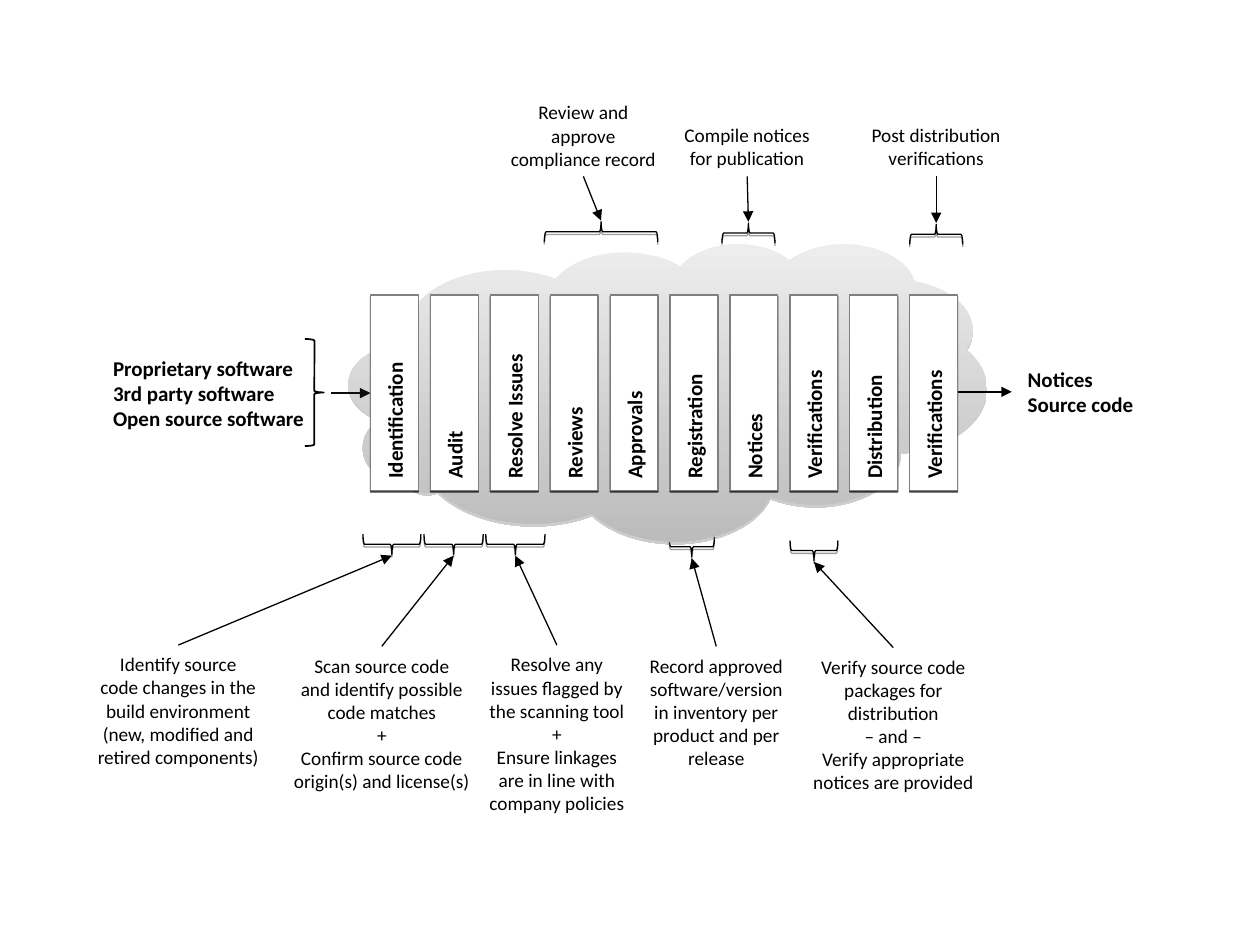
from lxml.etree import SubElement
from pptx import Presentation
from pptx.dml.color import RGBColor
from pptx.enum.shapes import MSO_CONNECTOR, MSO_SHAPE
from pptx.enum.text import MSO_ANCHOR, MSO_AUTO_SIZE, PP_ALIGN
from pptx.oxml.ns import qn
from pptx.util import Inches, Pt

COLORS = {"black": "000000", "near_black": "0D0D0D", "white": "FFFFFF",
          "box_line": "7F7F7F", "cloud_top": "EDEDED", "cloud_bottom": "BCBCBC",
          "cloud_shadow": "808080"}
FONT = "Calibri"

# The slide is a grid of 100 columns by 75 rows; all positions are in cells.
SLIDE_WIDTH, SLIDE_HEIGHT = Inches(10), Inches(7.5)
CELL = SLIDE_WIDTH / 100
BRACE_DEPTH = 1.6
ARROW_GAP = 0.1

STEPS = ["Identification", "Audit", "Resolve Issues", "Reviews", "Approvals",
         "Registration", "Notices", "Verifications", "Distribution", "Verifications"]
FIRST_STEP, LAST_STEP = 29.4, 72.2
STEP_TOP, STEP_WIDTH, STEP_HEIGHT = 23.4, 3.8, 15.5

# Each callout: paragraphs, text area, wrap, brace (centre, tip row, length)
LOWER_CALLOUTS = [
    (["Identify source", "code changes in the", "build environment",
      "(new, modified and", "retired components)"],
     (6.6, 51.2, 15.1, 10.3), False, (31.1, 44, 4.6)),
    (["Scan source code", "and identify possible", "code matches", "+",
      "Confirm source code", "origin(s) and license(s)"],
     (22.2, 51.3, 16.2, 12.1), False, (36, 44, 4.7)),
    (["Resolve any", "issues flagged by", "the scanning tool", "+",
      "Ensure linkages", "are in line with", "company policies"],
     (37.7, 51.2, 13, 13.9), False, (40.9, 44, 4.7)),
    (["Record approved", "software/version", "in inventory per",
      "product and per", "release"],
     (50.4, 51.3, 12.9, 12.1), False, (54.9, 44.2, 3.6)),
    (["Verify source code packages for distribution", "– and –",
      "Verify appropriate notices are provided"],
     (62.2, 51.4, 17.4, 14), True, (64.6, 44.5, 3.8)),
]
UPPER_CALLOUTS = [
    (["Review and approve", "compliance record"],
     (39.1, 7.4, 14.4, 6.6), True, (47.7, 17.6, 9)),
    (["Compile notices", "for publication"],
     (50.8, 9.2, 17, 4.8), True, (59.4, 17.7, 4.2)),
    (["Post distribution", "verifications"],
     (65.8, 9.2, 17, 4.8), True, (74.3, 17.8, 4.2)),
]


def cells(*values):
    return [round(value * CELL) for value in values]


def color(name):
    return RGBColor.from_string(COLORS[name])


def add_shadow(shape, name, opacity, distance):
    """Give the shape a hard shadow that falls straight down."""
    effects = shape._element.spPr.find(qn("a:effectLst"))
    shadow = SubElement(effects, qn("a:outerShdw"), dist=str(Pt(distance)),
                        dir="5400000", rotWithShape="0")
    shade = SubElement(shadow, qn("a:srgbClr"), val=COLORS[name])
    SubElement(shade, qn("a:alpha"), val=str(opacity * 1000))


def add_plain_shape(slide, kind, area, fill=None, line=None, line_width=0.75):
    shape = slide.shapes.add_shape(kind, *cells(*area))
    shape.shadow.inherit = False
    if fill:
        shape.fill.solid()
        shape.fill.fore_color.rgb = color(fill)
    else:
        shape.fill.background()
    if line:
        shape.line.color.rgb = color(line)
        shape.line.width = Pt(line_width)
    else:
        shape.line.fill.background()
    return shape


def write(shape, lines, size, bold=False, align=PP_ALIGN.CENTER,
          margins=(0.11, 0.06), anchor=MSO_ANCHOR.TOP, wrap=True):
    frame = shape.text_frame
    frame.word_wrap = wrap
    frame.auto_size = MSO_AUTO_SIZE.SHAPE_TO_FIT_TEXT
    frame.vertical_anchor = anchor
    frame.margin_left = frame.margin_right = Inches(margins[0])
    frame.margin_top = frame.margin_bottom = Inches(margins[1])
    frame.text = "\n".join(lines)
    for paragraph in frame.paragraphs:
        paragraph.alignment = align
        paragraph.font.name = FONT
        paragraph.font.size = Pt(size)
        paragraph.font.bold = bold
        paragraph.font.color.rgb = color("black")


def add_arrow(slide, start, end, line="black", width=0.75):
    connector = slide.shapes.add_connector(MSO_CONNECTOR.STRAIGHT, *cells(*start, *end))
    connector.line.color.rgb = color(line)
    connector.line.width = Pt(width)
    properties = connector._element.spPr
    SubElement(properties.get_or_add_ln(), qn("a:tailEnd"), type="triangle")
    SubElement(properties, qn("a:effectLst"))


def add_callout(slide, lines, area, wrap, brace, below):
    """Text, a brace lying on its side, and an arrow from text to brace tip."""
    left, top, width, height = area
    center, tip, length = brace
    text_box = slide.shapes.add_textbox(*cells(*area))
    write(text_box, lines, 11, wrap=wrap)

    kind = MSO_SHAPE.RIGHT_BRACE if below else MSO_SHAPE.LEFT_BRACE
    direction = 1 if below else -1
    middle = tip - direction * BRACE_DEPTH / 2
    shape = add_plain_shape(slide, kind, (center - BRACE_DEPTH / 2, middle - length / 2,
                                          BRACE_DEPTH, length), line="black")
    shape.rotation = 90
    add_shadow(shape, "black", 38, 1.6)

    text_edge = top if below else top + height
    add_arrow(slide, (left + width / 2, text_edge), (center, tip + direction * ARROW_GAP))


def add_cloud(slide):
    cloud = add_plain_shape(slide, MSO_SHAPE.CLOUD_CALLOUT, (27.7, 19.3, 50.6, 23.6))
    cloud.adjustments[0], cloud.adjustments[1] = -0.28, 0.19
    cloud.fill.gradient()
    cloud.fill.gradient_angle = 270
    for stop, name in zip(cloud.fill.gradient_stops, ("cloud_top", "cloud_bottom")):
        stop.color.rgb = color(name)
    add_shadow(cloud, "cloud_shadow", 38, 1.6)


def add_step(slide, index, label):
    pitch = (LAST_STEP - FIRST_STEP) / (len(STEPS) - 1)
    area = (FIRST_STEP + index * pitch, STEP_TOP, STEP_WIDTH, STEP_HEIGHT)
    box = add_plain_shape(slide, MSO_SHAPE.RECTANGLE, area, "white", "box_line")
    add_shadow(box, "black", 75, 1)
    write(box, [label], 12, bold=True, margins=(0.05, 0.09), anchor=MSO_ANCHOR.MIDDLE)
    # Vertical text in a half-turned box reads from bottom to top
    box.rotation = 180
    box.text_frame._txBody.bodyPr.set("vert", "eaVert")


def add_end_label(slide, lines, area):
    label = add_plain_shape(slide, MSO_SHAPE.ROUNDED_RECTANGLE, area, "white")
    write(label, lines, 12, bold=True, align=PP_ALIGN.LEFT,
          margins=(0.09, 0.05), anchor=MSO_ANCHOR.MIDDLE)


def main():
    presentation = Presentation()
    presentation.slide_width, presentation.slide_height = SLIDE_WIDTH, SLIDE_HEIGHT
    slide = presentation.slides.add_slide(presentation.slide_layouts[6])

    # Explanations below and above the process
    for callout in LOWER_CALLOUTS:
        add_callout(slide, *callout, below=True)
    for callout in UPPER_CALLOUTS:
        add_callout(slide, *callout, below=False)

    # Process steps on the cloud
    add_cloud(slide)
    for index, label in enumerate(STEPS):
        add_step(slide, index, label)

    # Inputs and outputs
    add_end_label(slide, ["Proprietary software", "3rd party software",
                          "Open source software"], (7.7, 27.4, 18.8, 7.6))
    add_arrow(slide, (26.3, 31.2), (FIRST_STEP, 31.2), "near_black", 1.5)
    add_arrow(slide, (LAST_STEP + STEP_WIDTH, 31.1), (80.3, 31.1), width=1.5)
    add_plain_shape(slide, MSO_SHAPE.RIGHT_BRACE, (24.2, 26.9, 1.5, 8.5),
                    "white", "black", 1)
    add_end_label(slide, ["Notices", "Source code"], (80.4, 28.4, 13.5, 5.4))

    presentation.save("out.pptx")


if __name__ == "__main__":
    main()
